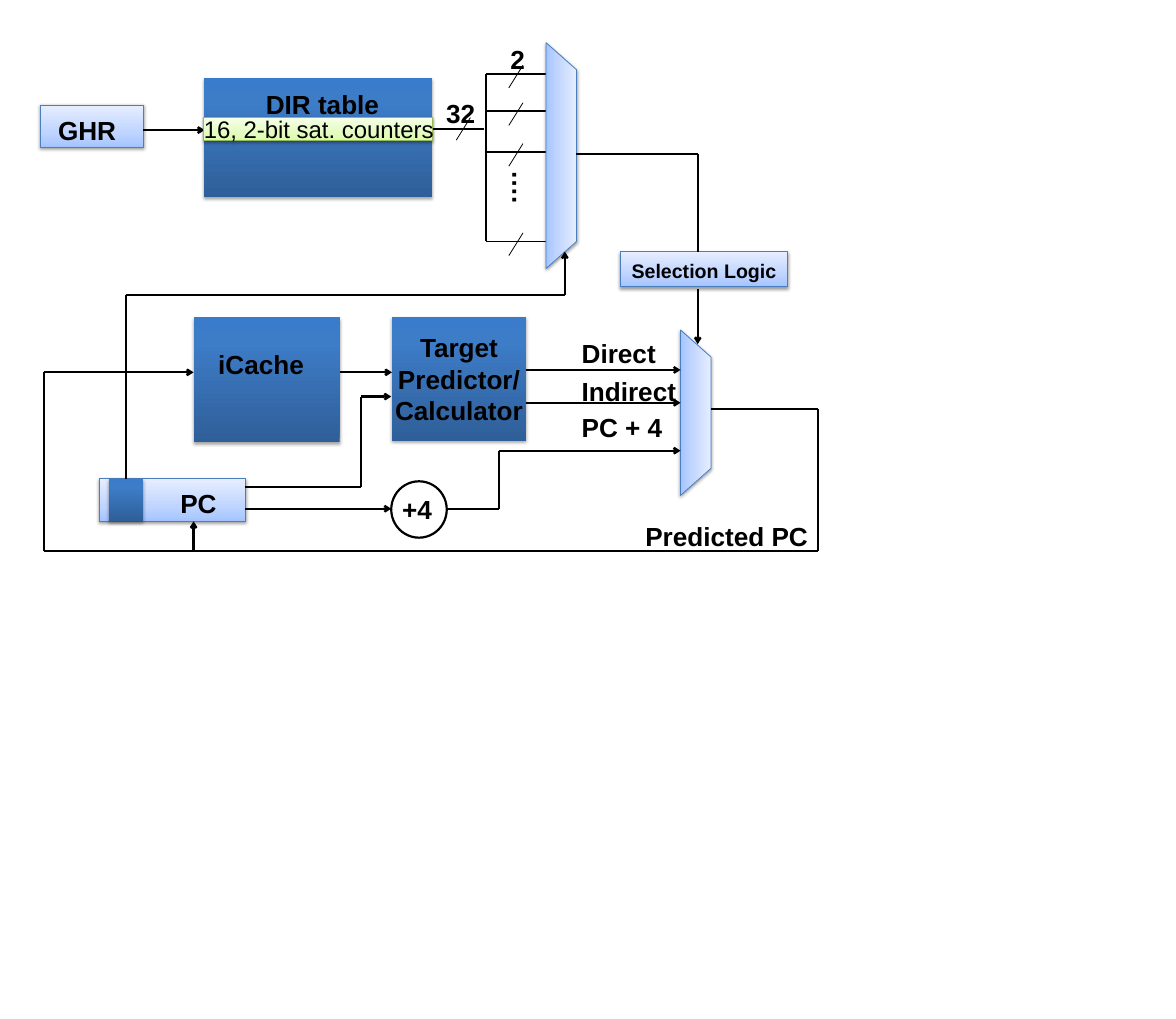
import copy
import itertools
from dataclasses import dataclass, field
from typing import Any

import lxml.etree
import pptx
import pptx.dml.color
import pptx.enum.shapes
import pptx.enum.text
import pptx.oxml
import pptx.oxml.ns
import pptx.util

Pt = pptx.util.Pt
qn = pptx.oxml.ns.qn
SHAPES = pptx.enum.shapes.MSO_SHAPE
ALIGN = pptx.enum.text.PP_ALIGN
ANCHOR = pptx.enum.text.MSO_ANCHOR


# Colours and type sizes
@dataclass
class Theme:
    font: str = "Arial"
    ink: str = "000000"
    label_size: float = 24
    counter_size: float = 22
    logic_size: float = 18
    wire: float = 2
    branch: float = 1.5
    slash: float = 0.75
    # style: (gradient stops, outline colour, shadow opacity %, shadow distance)
    styles: dict = field(default_factory=lambda: {
        "light": ([(0, "A4C4FF"), (0.35, "BFD4FF"), (1, "E6EEFF")], "4B7EBC", 38, 1.6),
        "dark": ([(0, "2F5F99"), (0.8, "3D7CC7"), (1, "3A7CCB")], None, 35, 1.8),
        "green": ([(0, "DAFDA7"), (0.35, "E4FCC2"), (1, "F5FFE7")], "98B955", 38, 1.6),
    })


THEME = Theme()


def rgb(value):
    return pptx.dml.color.RGBColor.from_string(value)


def apply(target, values):
    for name, value in values.items():
        setattr(target, name, value)


def write(shape, lines, size=THEME.label_size, bold=True, insets=(0, 0), spaced=False,
          align=ALIGN.LEFT, anchor=ANCHOR.TOP, wrap=True):
    side, end = insets
    frame = shape.text_frame
    apply(frame, {"word_wrap": wrap, "vertical_anchor": anchor,
                  "margin_left": Pt(side), "margin_right": Pt(side),
                  "margin_top": Pt(end), "margin_bottom": Pt(end)})
    for index, line in enumerate(lines):
        paragraph = frame.add_paragraph() if index else frame.paragraphs[0]
        paragraph.alignment = align
        if spaced:
            apply(paragraph, {"line_spacing": 1.15, "space_after": Pt(10)})
        run = paragraph.add_run()
        run.text = line
        apply(run.font, {"name": THEME.font, "size": Pt(size), "bold": bold})
        run.font.color.rgb = rgb(THEME.ink)


def paint(shape, style):
    stops, outline, opacity, distance = THEME.styles[style]
    properties = shape._element.spPr
    shape.fill.gradient()
    shape.fill.gradient_angle = 90
    stop_list = properties.find(".//" + qn("a:gsLst"))
    stop_list.append(copy.deepcopy(stop_list[0]))
    for stop, (position, colour) in zip(shape.fill.gradient_stops, stops):
        stop.position = position
        stop.color.rgb = rgb(colour)
    if outline:
        shape.line.color.rgb = rgb(outline)
        shape.line.width = Pt(0.75)
    else:
        shape.line.fill.background()
    # Soft shadow straight below
    shape.shadow.inherit = False
    shadow = lxml.etree.SubElement(
        properties.find(qn("a:effectLst")), qn("a:outerShdw"), blurRad=str(Pt(3.1)),
        dist=str(Pt(distance)), dir="5400000", rotWithShape="0")
    colour = lxml.etree.SubElement(shadow, qn("a:srgbClr"), val=THEME.ink)
    lxml.etree.SubElement(colour, qn("a:alpha"), val=str(opacity * 1000))


@dataclass
class Region:
    """Draws parts at offsets from its own left and top."""
    shapes: Any
    left: float
    top: float

    def shape(self, kind, x, y, width, height):
        return self.shapes.add_shape(kind, Pt(self.left + x), Pt(self.top + y),
                                     Pt(width), Pt(height))

    def block(self, x, y, width, height, style):
        shape = self.shape(SHAPES.RECTANGLE, x, y, width, height)
        paint(shape, style)
        return shape

    def mux(self, x, y, width, height):
        # The trapezoid lies on its side, so its sizes swap about the centre
        shift = (height - width) / 2
        shape = self.shape(SHAPES.TRAPEZOID, x - shift, y + shift, height, width)
        shape.rotation = 90
        shape.adjustments[0] = 0.89
        paint(shape, "light")

    def label(self, text, x, y, width, height, insets=(13, 6.5)):
        box = self.shapes.add_textbox(Pt(self.left + x), Pt(self.top + y),
                                      Pt(width), Pt(height))
        write(box, [text], insets=insets, spaced=True)
        return box

    def wire(self, *points, arrow=False, width=THEME.wire):
        for (x1, y1), (x2, y2) in itertools.pairwise(points):
            line = self.shapes.add_connector(
                pptx.enum.shapes.MSO_CONNECTOR.STRAIGHT, Pt(self.left + x1),
                Pt(self.top + y1), Pt(self.left + x2), Pt(self.top + y2))
            line.line.color.rgb = rgb(THEME.ink)
            line.line.width = Pt(width)
            lxml.etree.SubElement(line._element.spPr, qn("a:effectLst"))
        if arrow:
            lxml.etree.SubElement(line.line._get_or_add_ln(), qn("a:tailEnd"), type="arrow")

    def slash(self, x, y):
        self.wire((x + 13, y), (x, y + 20.8), width=THEME.slash)


def direction_predictor(region):
    # History register and counter table
    region.block(0.7, 68.5, 95, 39, "light")
    region.label("GHR", 4.3, 66.3, 86, 45)
    region.block(151.2, 44, 210, 108.7, "dark")
    region.wire((95.8, 91.5), (151.9, 91.5), arrow=True)
    counters = region.block(151.2, 80, 210, 21, "green")
    write(counters, ["16, 2-bit sat. counters"], THEME.counter_size, bold=False,
          insets=(0, 6.5), anchor=ANCHOR.MIDDLE, wrap=False)
    counters.text_frame.margin_right = Pt(13)
    region.label("DIR table", 195.1, 42.6, 132.5, 45)
    # Bus that fans out into the multiplexer
    region.wire((361.4, 90.8), (408.2, 90.8))
    region.slash(383, 80)
    region.label("32", 360.7, 50.5, 54, 37)
    branches = (39.7, 74.2, 111.7, 193.8)
    region.wire((410.4, branches[-1]), (410.4, branches[0]))
    for y in branches:
        region.slash(431.3, y - 7.8)
        region.wire((410.4, y), (465.1, y), width=THEME.branch)
    region.label("2", 419.8, 0.8, 54, 37)
    region.mux(465.5, 11.2, 28, 207.4)
    dots = region.label("….", 416.9, 121.8, 59, 45)
    dots.text_frame._txBody.bodyPr.set("vert", "eaVert")


def target_stage(region):
    # Instruction cache and target block
    region.block(0, 1.6, 134, 114.5, "dark")
    region.label("iCache", 9.4, 19.6, 115, 45)
    target = region.block(182, 0.9, 123, 113.8, "dark")
    write(target, ["Target Predictor/", "Calculator"], align=ALIGN.CENTER,
          anchor=ANCHOR.MIDDLE)
    region.wire((134, 52), (182, 52), arrow=True)
    # Next-address multiplexer and its inputs
    region.mux(447, 13.1, 28, 152)
    for y in (49.8, 80):
        region.wire((305, y), (447, y), arrow=True)
    for text, y in (("Direct", 8.8), ("Indirect", 44), ("PC + 4", 77.2)):
        region.label(text, 344, y, 135, 37, insets=(12.2, 6.5))


def program_counter(region):
    region.block(0.4, 2.9, 134, 39, "light")
    region.block(9.1, 2.9, 31.7, 39, "dark")
    region.label("PC", 61.6, 0, 68.4, 45)
    # Incrementer
    adder = region.shape(SHAPES.OVAL, 268.3, 5.1, 51, 51.8)
    adder.shadow.inherit = False
    adder.fill.background()
    adder.line.color.rgb = rgb(THEME.ink)
    adder.line.width = Pt(THEME.wire)
    region.label("+4", 255.3, 0.8, 74, 55, insets=(23, 11.5))
    region.wire((134.4, 30.3), (268.3, 30.3), arrow=True)


def selection_logic(region):
    logic = region.block(0, 0, 154, 32.4, "light")
    write(logic, ["Selection Logic"], THEME.logic_size, insets=(7.2, 3.6), spaced=True,
          align=ALIGN.CENTER, anchor=ANCHOR.MIDDLE)


def interconnect(region):
    # Direction result through the selection logic
    region.wire((529.2, 141.8), (640.8, 141.8), (640.8, 231.1))
    region.wire((640.8, 265.7), (640.8, 316.1), arrow=True)
    # Program counter to the direction multiplexer, target block and adder result
    region.wire((115.9, 440), (115.9, 271), (518.7, 271), (518.7, 231.1), arrow=True)
    region.wire((225.4, 447.1), (331.2, 447.1), (331.2, 364.3), (359.3, 364.3), arrow=True)
    region.wire((410.4, 467.3), (458.6, 467.3), (458.6, 414), (625, 414), arrow=True)
    # Predicted address fed back
    region.wire((653, 375.8), (751, 375.8), (751, 506.2), (40.3, 506.2),
                (40.3, 342), (177.8, 342), arrow=True)
    region.wire((177.8, 506.2), (177.8, 478.8), arrow=True)
    region.label("Predicted PC", 579.6, 467.3, 183, 43)


presentation = pptx.Presentation()
apply(presentation, {"slide_width": Pt(1080), "slide_height": Pt(936)})
slide = presentation.slides.add_slide(presentation.slide_layouts[6])
for draw, left, top in ((direction_predictor, 36, 28), (target_stage, 178, 290),
                        (program_counter, 91, 437), (selection_logic, 569.5, 231.1),
                        (interconnect, 0, 0)):
    draw(Region(slide.shapes, left, top))
presentation.save("out.pptx")
